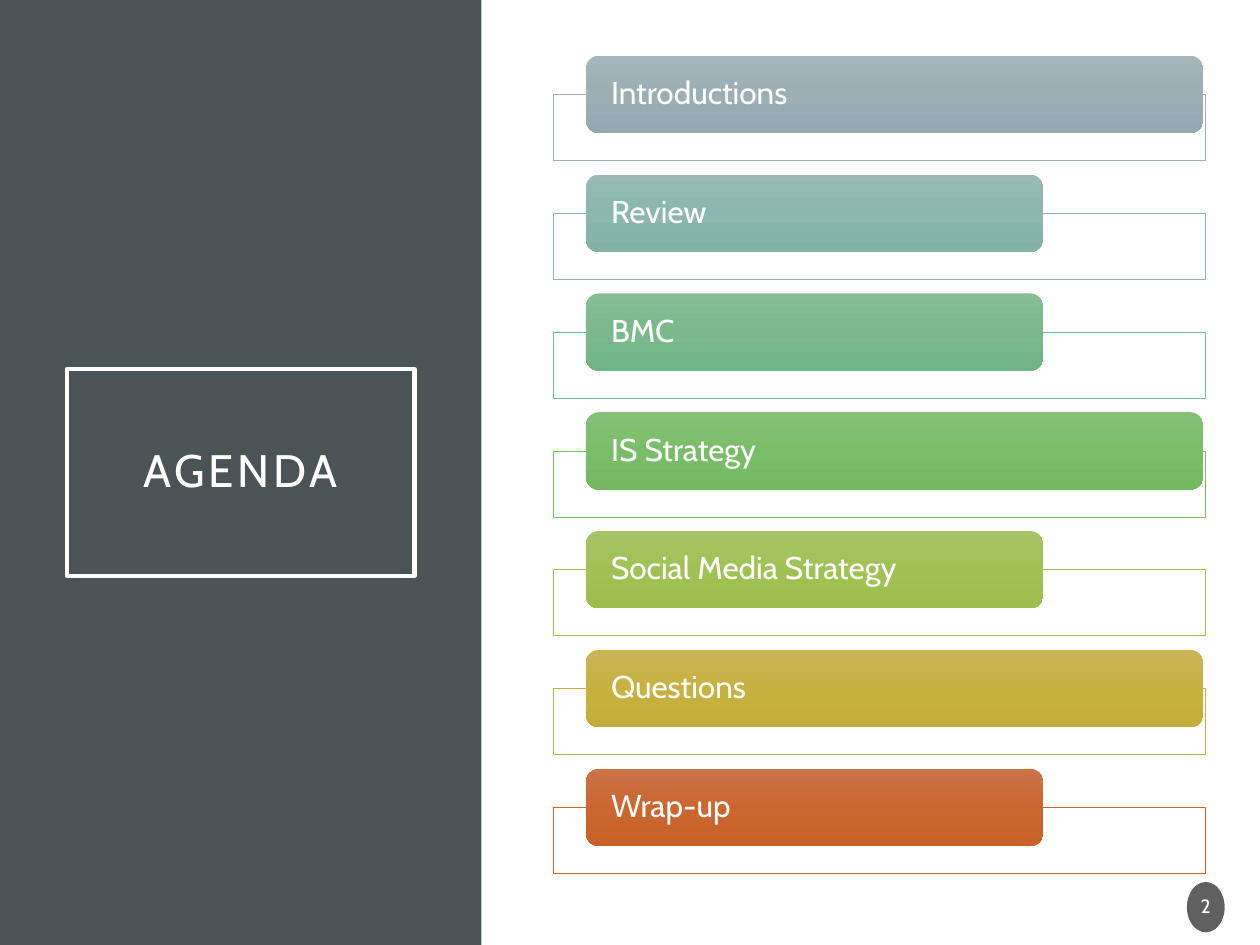
from copy import deepcopy
from dataclasses import dataclass

from lxml import etree
from pptx import Presentation
from pptx.dml.color import RGBColor
from pptx.enum.shapes import MSO_SHAPE
from pptx.enum.text import MSO_ANCHOR, PP_ALIGN
from pptx.oxml.ns import qn
from pptx.util import Inches, Pt

RECT, ROUND, OVAL = MSO_SHAPE.RECTANGLE, MSO_SHAPE.ROUNDED_RECTANGLE, MSO_SHAPE.OVAL
LEFT, CENTER = PP_ALIGN.LEFT, PP_ALIGN.CENTER
MIDDLE = MSO_ANCHOR.MIDDLE


@dataclass
class Theme:
    font: str = "Cabin"
    white: str = "FFFFFF"
    panel: str = "4A5356"
    badge: str = "1D1D1D"
    title: float = 26
    item: float = 18
    number: float = 11


class Deck:
    """Places elements on a grid of 100 columns by 75 rows."""

    def __init__(self, theme):
        self.theme = theme
        self.prs = Presentation()
        self.prs.slide_width, self.prs.slide_height = Inches(10), Inches(7.5)
        self.col = self.prs.slide_width / 100
        self.row = self.prs.slide_height / 75
        self.slide = self.prs.slides.add_slide(self.prs.slide_layouts[6])

    def shape(self, kind, x, y, w, h, fill=None, alpha=100, line=None, width=0.5):
        box = self.slide.shapes.add_shape(
            kind, int(x * self.col), int(y * self.row),
            int(w * self.col), int(h * self.row))
        box.shadow.inherit = False
        if fill:
            box.fill.solid()
            box.fill.fore_color.rgb = RGBColor.from_string(fill)
            if alpha < 100:
                tone = box.fill._xPr.find(".//" + qn("a:srgbClr"))
                etree.SubElement(tone, qn("a:alpha"), val=str(alpha * 1000))
        else:
            box.fill.background()
        if line:
            box.line.color.rgb = RGBColor.from_string(line)
            box.line.width = Pt(width)
        else:
            box.line.fill.background()
        return box

    def shade(self, box, tones):
        """Fill from top to bottom with three evenly spaced tones."""
        box.fill.gradient()
        box.fill.gradient_angle = 270
        stops = box._element.spPr.find(".//" + qn("a:gsLst"))
        stops.insert(1, deepcopy(stops[0]))
        for i, (stop, tone) in enumerate(zip(box.fill.gradient_stops, tones)):
            stop.color.rgb = RGBColor.from_string(tone)
            stop.position = i / 2

    def text(self, box, words, size, align=CENTER, side=0.0, edge=0.0, track=0):
        frame = box.text_frame
        frame.text = words
        frame.word_wrap = True
        frame.vertical_anchor = MIDDLE
        frame.margin_left = frame.margin_right = Inches(side)
        frame.margin_top = frame.margin_bottom = Inches(edge)
        para = frame.paragraphs[0]
        para.alignment = align
        para.line_spacing = 0.9
        font = para.runs[0].font
        font.name, font.size = self.theme.font, Pt(size)
        font.color.rgb = RGBColor.from_string(self.theme.white)
        if track:
            font._element.set("spc", str(track * 100))

    def item(self, y, words, wide, line, tones):
        """Outlined frame with a shaded label over its upper edge."""
        self.shape(RECT, 43.9, y + 3.07, 51.8, 5.24,
                   self.theme.white, alpha=90, line=line)
        bar = self.shape(ROUND, 46.5, y, wide, 6.14)
        self.shade(bar, tones)
        self.text(bar, words, self.theme.item, LEFT, side=0.17)


ITEMS = [
    ("Introductions", True, "9BAFB5", ("A3B5BB", "9BAFB5", "93A9AF")),
    ("Review", False, "8CB6AC", ("95BBB2", "8BB7AC", "83B1A6")),
    ("BMC", False, "7BB88C", ("86BD95", "7AB98B", "72B584")),
    ("IS Strategy", True, "7ABC69", ("85C076", "7ABD68", "73B960")),
    ("Social Media Strategy", False, "9FC057", ("A5C466", "A0C255", "9BBE4D")),
    ("Questions", True, "C5B043", ("C9B557", "C7B141", "C4AD39")),
    ("Wrap-up", False, "C96731", ("CC734B", "CB662F", "C86128")),
]
TOP, STEP = 4.43, 9.43
LONG, SHORT = 49, 36.3


def main():
    theme = Theme()
    deck = Deck(theme)

    # Side panel with the title
    deck.shape(RECT, 0, 0, 38.2, 75, theme.panel)
    title = deck.shape(RECT, 5.3, 29.3, 27.6, 16.4, line=theme.white, width=2.5)
    deck.text(title, "AGENDA", theme.title, side=0.2, edge=0.2, track=2)

    # Slide number
    badge = deck.shape(OVAL, 94.2, 70, 3, 4, theme.badge, alpha=70)
    deck.text(badge, "2", theme.number, side=0.02, edge=0.05)

    # Agenda items
    for i, (words, wide, line, tones) in enumerate(ITEMS):
        deck.item(TOP + i * STEP, words, LONG if wide else SHORT, line, tones)

    deck.prs.save("out.pptx")


if __name__ == "__main__":
    main()
